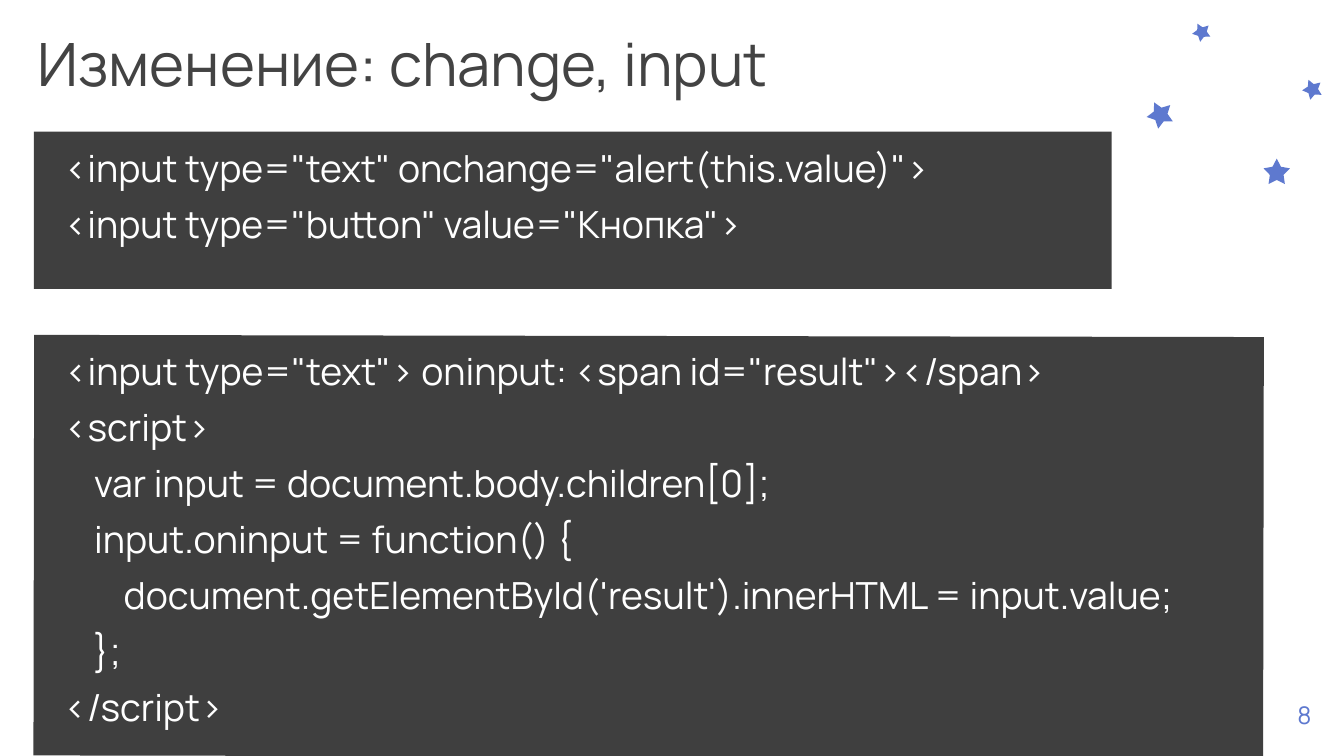
"""Build the slide on the change and input events."""
import pptx
import pptx.dml.color
import pptx.enum.shapes
import pptx.enum.text
import pptx.util
from pptx.util import Cm

COLORS = {"title": "434343", "panel": "3F3F3F", "code": "FFFFFF", "accent": "5E79CF"}
INDENT = 0.56
MARGIN = 0.25


def rgb(name):
    return pptx.dml.color.RGBColor.from_string(COLORS[name])


def set_text(sp, lines, size, color, anchor="TOP", align="LEFT"):
    tf = sp.text_frame
    tf.word_wrap = True
    tf.vertical_anchor = getattr(pptx.enum.text.MSO_ANCHOR, anchor)
    tf.margin_left = tf.margin_right = tf.margin_top = tf.margin_bottom = Cm(MARGIN)
    tf.text = "\n".join(lines)
    for p in tf.paragraphs:
        p.alignment = getattr(pptx.enum.text.PP_ALIGN, align)
        for r in p.runs:
            r.font.name = "Manrope"
            r.font.size = pptx.util.Pt(size)
            r.font.color.rgb = rgb(color)


prs = pptx.Presentation()
prs.slide_width, prs.slide_height = Cm(25.4), Cm(14.29)
s = prs.slides.add_slide(prs.slide_layouts[6])

sp = s.shapes.add_textbox(Cm(23.9), Cm(12.75), Cm(1.5), Cm(1.52))
set_text(sp, ["8"], 13, "accent", "MIDDLE", "CENTER")

stars = [
    (23.88, 3.0, 0.5, 0.48, 0),
    (21.67, 1.91, 0.5, 0.48, -26.8),
    (24.63, 1.5, 0.38, 0.36, 48.8),
    (22.53, 0.43, 0.35, 0.33, -26.8),
]
for x, y, w, h, angle in stars:
    sp = s.shapes.add_shape(
        pptx.enum.shapes.MSO_SHAPE.STAR_5_POINT, Cm(x), Cm(y), Cm(w), Cm(h))
    sp.adjustments[0] = 0.26
    sp.rotation = angle
    sp.shadow.inherit = False
    sp.fill.solid()
    sp.fill.fore_color.rgb = rgb("accent")
    sp.line.fill.background()

sp = s.shapes.add_textbox(Cm(0.46), Cm(0.25), Cm(19.96), Cm(1.9))
set_text(sp, ["Изменение: change, input"], 32, "title")

panels = [
    (2.49, 20.37, 2.97, 0, [
        (0, '<input type="text" onchange="alert(this.value)">'),
        (0, '<input type="button" value="Кнопка">'),
    ]),
    (6.35, 23.24, 7.95, 0.1, [
        (0, '<input type="text"> oninput: <span id="result"></span>'),
        (0, "<script>"),
        (1, "var input = document.body.children[0];"),
        (1, "input.oninput = function() {"),
        (2, "document.getElementById('result').innerHTML = input.value;"),
        (1, "};"),
        (0, "</script>"),
    ]),
]
for top, width, height, angle, code in panels:
    sp = s.shapes.add_shape(
        pptx.enum.shapes.MSO_SHAPE.RECTANGLE, Cm(0.64), Cm(top), Cm(width), Cm(height))
    sp.rotation = angle
    sp.shadow.inherit = False
    sp.fill.solid()
    sp.fill.fore_color.rgb = rgb("panel")
    sp.line.fill.background()
    set_text(sp, [line for _, line in code], 20, "code")
    for p, (level, _) in zip(sp.text_frame.paragraphs, code):
        p.space_before = pptx.util.Pt(6)
        pPr = p._p.get_or_add_pPr()
        pPr.set("marL", str(Cm(0.33 + level * INDENT)))
        pPr.set("indent", "0")

prs.save("out.pptx")
